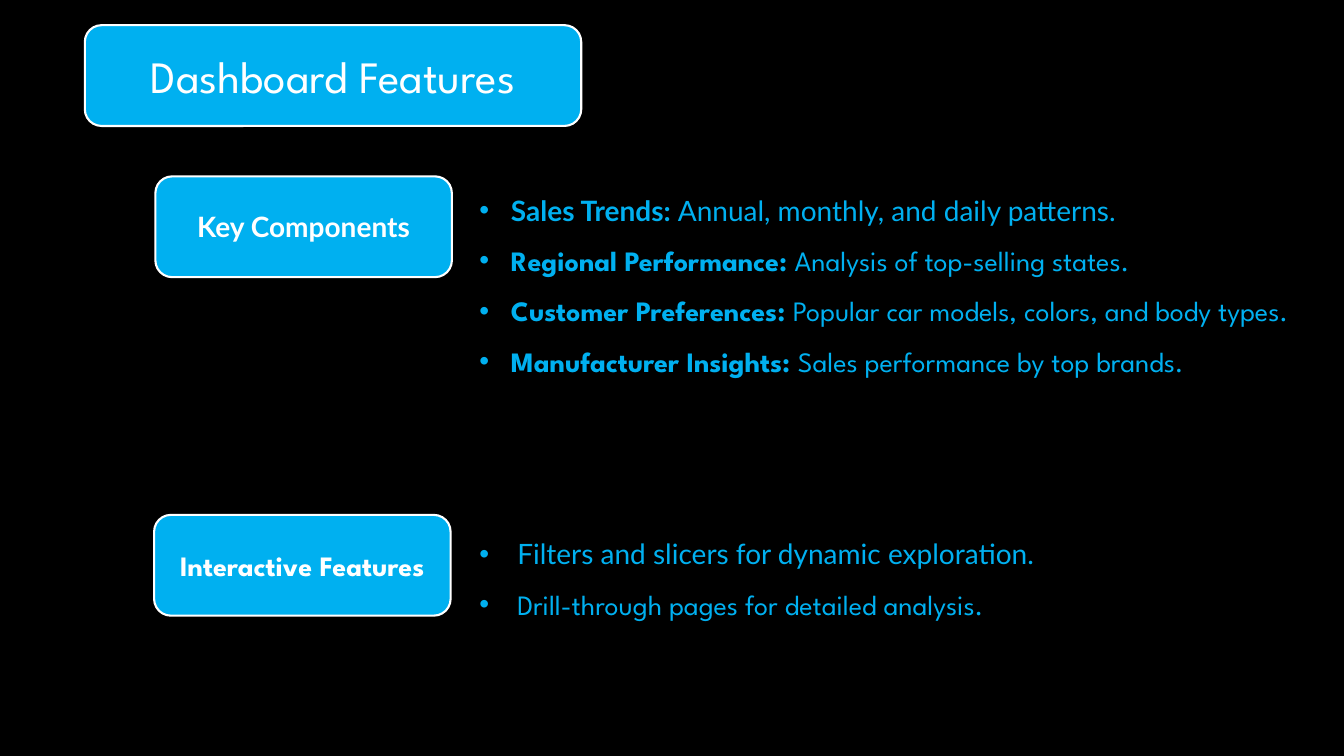
from dataclasses import dataclass

from lxml import etree
from pptx import Presentation
from pptx import util as u
from pptx.dml.color import RGBColor
from pptx.enum import shapes, text
from pptx.oxml import ns

# Grid: 160 columns by 90 rows of a twelfth of an inch
COLUMNS, ROWS = 160, 90
CELL = u.Inches(1) // 12
BLACK, WHITE, SKY = "000000", "FFFFFF", "00B0F0"
LATO, SPARTAN = "Lato", "League Spartan"


@dataclass
class Area:
    column: float
    row: float
    columns: float
    rows: float

    def lengths(self) -> list[int]:
        return [round(n * CELL) for n in (self.column, self.row, self.columns, self.rows)]


@dataclass
class Heading:
    words: str
    area: Area
    font: str
    size: int = 20
    bold: bool = True


@dataclass
class Point:
    label: str
    detail: str
    font: str = SPARTAN


@dataclass
class PointList:
    area: Area
    indent: float
    points: list[Point]


HEADINGS = [
    Heading("Dashboard Features", Area(10.1, 3, 59.1, 12), SPARTAN, 32, False),
    Heading("Key Components", Area(18.5, 21, 35.3, 12), LATO),
    Heading("Interactive Features", Area(18.35, 61.3, 35.3, 12), SPARTAN),
]
POINT_LISTS = [
    PointList(Area(55.9, 20.4, 98.8, 30.7), 3.75, [
        Point("Sales Trends: ", "Annual, monthly, and daily patterns.", LATO),
        Point("Regional Performance: ", "Analysis of top-selling states."),
        Point("Customer Preferences: ", "Popular car models, colors, and body types."),
        Point("Manufacturer Insights: ", "Sales performance by top brands."),
    ]),
    PointList(Area(55.9, 61.3, 85.7, 12.6), 4.5, [
        Point("", "Filters and slicers for dynamic exploration.", LATO),
        Point("", "Drill-through pages for detailed analysis."),
    ]),
]


def colour(code: str) -> RGBColor:
    return RGBColor.from_string(code)


def style(run, font: str, size: int, code: str, bold: bool) -> None:
    run.font.name = font
    run.font.size = u.Pt(size)
    run.font.bold = bold
    run.font.color.rgb = colour(code)


def add_bullet(paragraph, indent: float) -> None:
    properties = paragraph._p.get_or_add_pPr()
    margin = round(indent * CELL)
    properties.set("marL", str(margin))
    properties.set("indent", str(-margin))
    etree.SubElement(properties, ns.qn("a:buFont")).set("typeface", "Arial")
    etree.SubElement(properties, ns.qn("a:buChar")).set("char", "•")


def draw_heading(slide, heading: Heading) -> None:
    panel = slide.shapes.add_shape(
        shapes.MSO_SHAPE.ROUNDED_RECTANGLE, *heading.area.lengths())
    panel.shadow.inherit = False
    panel.fill.solid()
    panel.fill.fore_color.rgb = colour(SKY)
    panel.line.color.rgb = colour(WHITE)
    panel.line.width = u.Pt(1.5)
    panel.text_frame.text = heading.words
    panel.text_frame.vertical_anchor = text.MSO_ANCHOR.MIDDLE
    title = panel.text_frame.paragraphs[0]
    title.alignment = text.PP_ALIGN.CENTER
    style(title.runs[0], heading.font, heading.size, WHITE, heading.bold)


def draw_points(slide, point_list: PointList) -> None:
    frame = slide.shapes.add_textbox(*point_list.area.lengths()).text_frame
    frame.word_wrap = True
    frame.auto_size = text.MSO_AUTO_SIZE.SHAPE_TO_FIT_TEXT
    for index, point in enumerate(point_list.points):
        line = frame.add_paragraph() if index else frame.paragraphs[0]
        line.line_spacing = 1.5
        add_bullet(line, point_list.indent)
        for words, bold in ((point.label, True), (point.detail, False)):
            if words:
                run = line.add_run()
                run.text = words
                style(run, point.font, 20, SKY, bold)


def main() -> None:
    deck = Presentation()
    deck.slide_width, deck.slide_height = COLUMNS * CELL, ROWS * CELL
    slide = deck.slides.add_slide(deck.slide_layouts[6])
    slide.background.fill.solid()
    slide.background.fill.fore_color.rgb = colour(BLACK)

    # Title and section headings
    for heading in HEADINGS:
        draw_heading(slide, heading)

    # Bulleted points beside each section
    for point_list in POINT_LISTS:
        draw_points(slide, point_list)

    deck.save("out.pptx")


if __name__ == "__main__":
    main()
